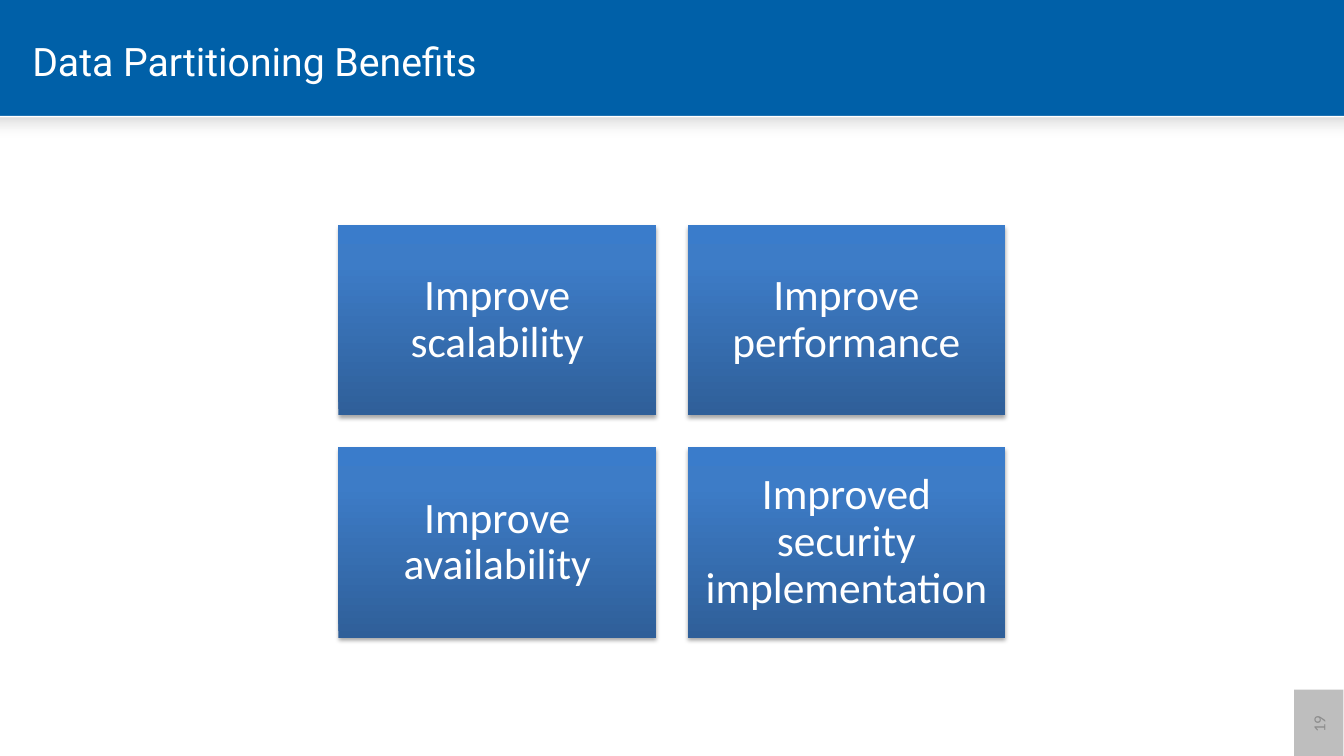
from dataclasses import dataclass

from lxml import etree
from pptx import Presentation
from pptx import util as u
from pptx.dml.color import RGBColor
from pptx.enum import shapes, text
from pptx.oxml.ns import qn


@dataclass(frozen=True)
class Theme:
    header: str = "0060A8"
    paper: str = "FFFFFF"
    light_text: str = "FFFFFF"
    number_fill: str = "7F7F7F"
    number_text: str = "8C8C8C"
    shadow: str = "000000"
    tile_stops: tuple = ((0, "2F5F99", 100), (80, "3D7CC7", 100), (100, "3A7CCB", 100))
    band_stops: tuple = ((0, "000000", 13), (48, "E3E3E3", 0), (66, "FFFFFF", 0))
    title_font: str = "Roboto"
    body_font: str = "Calibri"
    title_size: int = 28
    tile_size: int = 31
    number_size: int = 12


def add_opacity(node, opacity):
    if opacity < 100:
        etree.SubElement(node, qn("a:alpha"), val=str(opacity * 1000))


def add_color(parent, color, opacity):
    add_opacity(etree.SubElement(parent, qn("a:srgbClr"), val=color), opacity)


class SlideBuilder:
    def __init__(self, deck, theme):
        self.theme = theme
        self.page = deck.slides.add_slide(deck.slide_layouts[5])
        backdrop = self.page.background.fill
        backdrop.solid()
        backdrop.fore_color.rgb = RGBColor.from_string(theme.header)

    def rectangle(self, left, top, width, height):
        box = self.page.shapes.add_shape(
            shapes.MSO_SHAPE.RECTANGLE, u.Cm(left), u.Cm(top), u.Cm(width), u.Cm(height))
        box.line.fill.background()
        box.shadow.inherit = False
        return box

    def solid(self, box, color, opacity=100):
        box.fill.solid()
        box.fill.fore_color.rgb = RGBColor.from_string(color)
        add_opacity(box.element.spPr.find(".//" + qn("a:srgbClr")), opacity)

    def gradient(self, box, stops, angle):
        geometry = box.element.spPr.find(qn("a:prstGeom"))
        gradient = etree.Element(qn("a:gradFill"), rotWithShape="1")
        stop_list = etree.SubElement(gradient, qn("a:gsLst"))
        for position, color, opacity in stops:
            stop = etree.SubElement(stop_list, qn("a:gs"), pos=str(position * 1000))
            add_color(stop, color, opacity)
        etree.SubElement(gradient, qn("a:lin"), ang=str(angle * 60000), scaled="0")
        geometry.addnext(gradient)

    def drop_shadow(self, box):
        effects = box.element.spPr.find(qn("a:effectLst"))
        shadow = etree.SubElement(
            effects, qn("a:outerShdw"), blurRad=str(int(u.Pt(3.1))), dist=str(int(u.Pt(1.8))),
            dir=str(90 * 60000), rotWithShape="0")
        add_color(shadow, self.theme.shadow, 35)

    def label(self, box, words, font, size, color, align):
        frame = box.text_frame
        frame.text = words
        frame.word_wrap = True
        frame.vertical_anchor = text.MSO_ANCHOR.MIDDLE
        para = frame.paragraphs[0]
        para.alignment = align
        for span in para.runs:
            span.font.name = font
            span.font.size = u.Pt(size)
            span.font.color.rgb = RGBColor.from_string(color)
        return frame

    def title(self, words):
        box = self.page.shapes.title
        box.left, box.top, box.width, box.height = map(u.Cm, (0.56, 0.43, 28.83, 2.21))
        self.label(box, words, self.theme.title_font, self.theme.title_size,
                   self.theme.light_text, text.PP_ALIGN.LEFT)

    def paper(self):
        self.solid(self.rectangle(0, 2.92, 33.87, 16.13), self.theme.paper)
        self.gradient(self.rectangle(0, 2.97, 33.87, 1.07), self.theme.band_stops, 90)

    def page_number(self, number):
        box = self.rectangle(32.36, 17.63, 1.75, 1.24)
        box.rotation = 270
        self.solid(box, self.theme.number_fill, 50)
        self.label(box, number, self.theme.body_font, self.theme.number_size,
                   self.theme.number_text, text.PP_ALIGN.CENTER)

    def tile(self, left, top, width, height, words):
        box = self.rectangle(left, top, width, height)
        self.gradient(box, self.theme.tile_stops, 270)
        self.drop_shadow(box)
        frame = self.label(box, words, self.theme.body_font, self.theme.tile_size,
                           self.theme.light_text, text.PP_ALIGN.CENTER)
        frame.margin_left = frame.margin_right = u.Cm(0.33)
        frame.margin_top = frame.margin_bottom = u.Cm(0.33)
        frame.paragraphs[0].line_spacing = 0.9

    def tile_grid(self, labels, columns=2):
        left, top, width, height, gap = 8.53, 5.67, 8, 4.8, 0.8
        for index, words in enumerate(labels):
            row, column = divmod(index, columns)
            self.tile(left + column * (width + gap), top + row * (height + gap),
                      width, height, words)


def main():
    deck = Presentation()
    deck.slide_width, deck.slide_height = u.Cm(33.87), u.Cm(19.05)
    slide = SlideBuilder(deck, Theme())
    slide.paper()
    slide.page_number("19")
    slide.title("Data Partitioning Benefits")
    slide.tile_grid(["Improve scalability", "Improve performance",
                     "Improve availability", "Improved security implementation"])
    deck.save("out.pptx")


if __name__ == "__main__":
    main()
